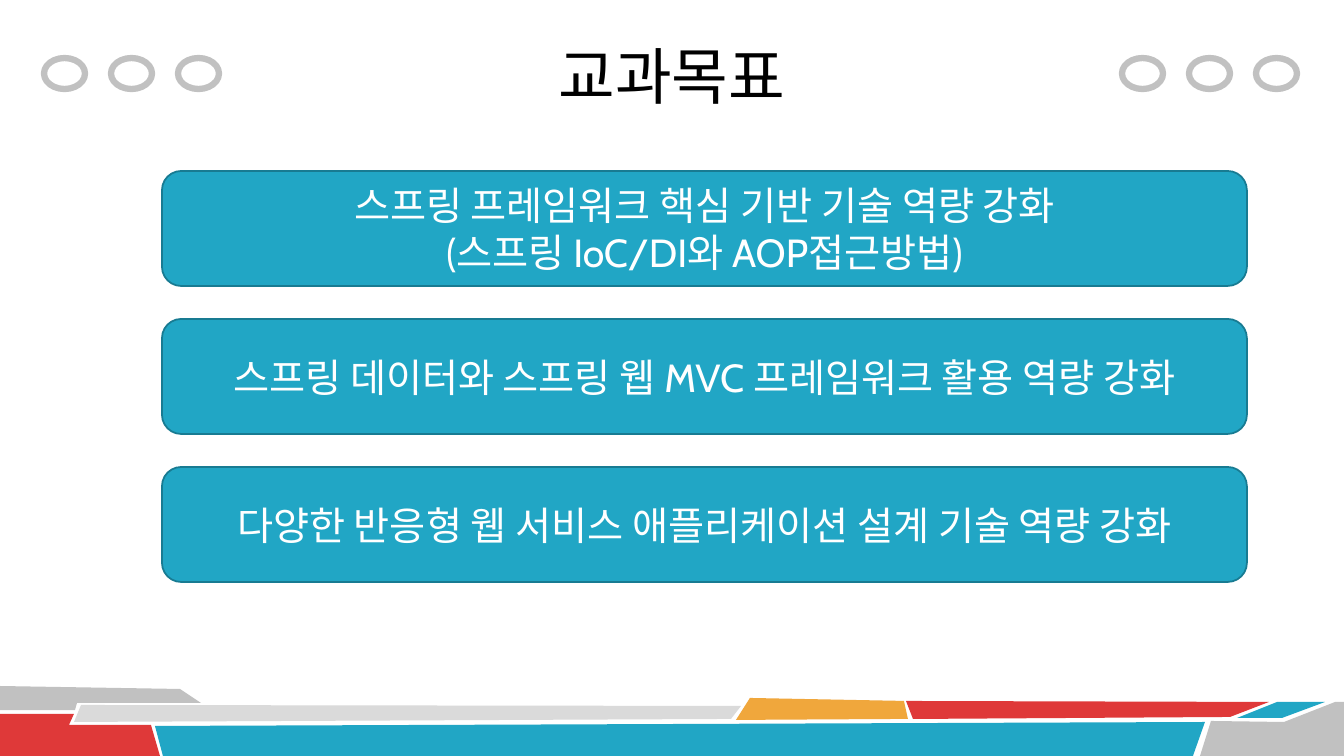
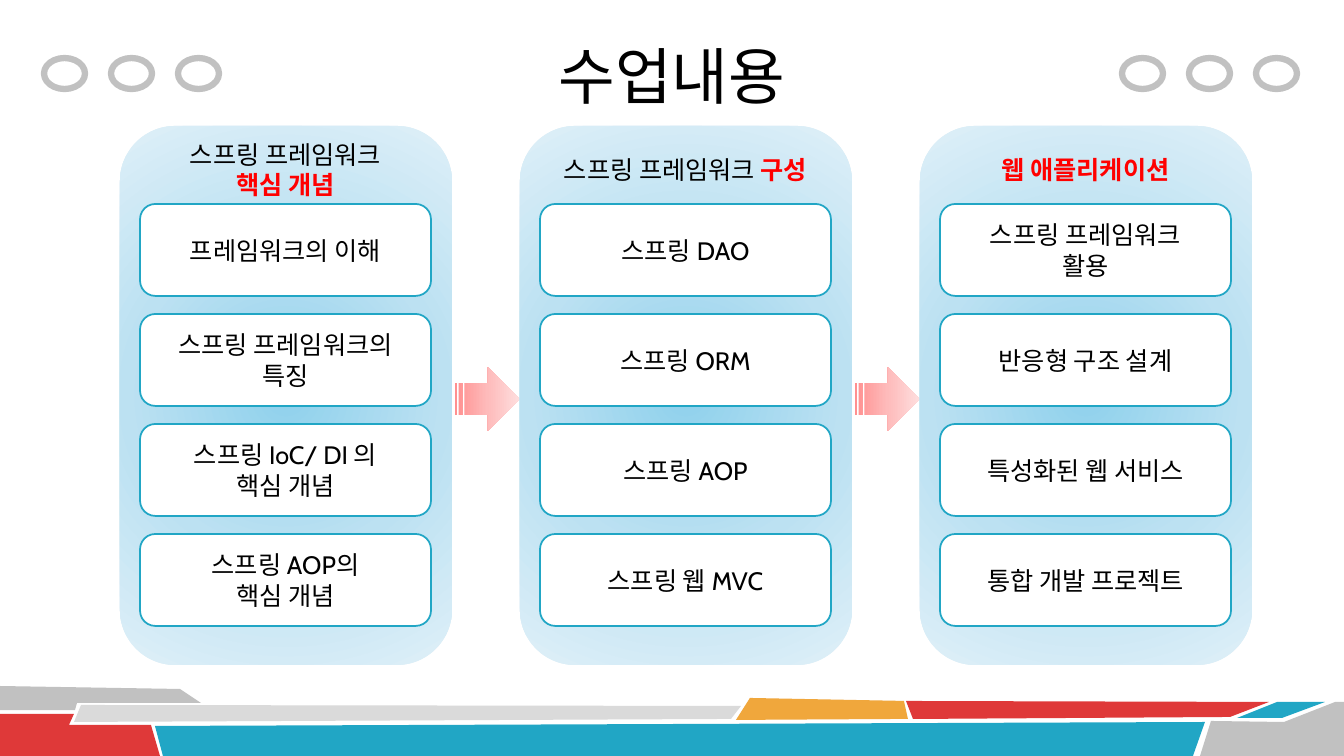
from dataclasses import dataclass

from lxml import etree
from pptx import Presentation
from pptx.dml.color import RGBColor
from pptx.enum.shapes import MSO_SHAPE
from pptx.enum.text import MSO_ANCHOR, PP_ALIGN
from pptx.oxml.ns import qn
from pptx.util import Pt

ROUND_RECT = MSO_SHAPE.ROUNDED_RECTANGLE
ELLIPSE = MSO_SHAPE.OVAL
STRIPED_ARROW = MSO_SHAPE.STRIPED_RIGHT_ARROW
CENTER = PP_ALIGN.CENTER
MIDDLE = MSO_ANCHOR.MIDDLE

EMU_PER_PX = 914400 / 100.8
SLIDE_W, SLIDE_H = 1344, 756
TITLE_ONLY = 5


@dataclass(frozen=True)
class Theme:
    title_font: str = "Calibri"
    body_font: str = "Cabin"
    title_size: int = 44
    bar_size: int = 28
    box_size: int = 18
    outline: float = 1.25
    ring_line: float = 4.5
    black: str = "000000"
    white: str = "FFFFFF"
    accent: str = "FF0000"
    teal: str = "21A6C5"
    teal_dark: str = "187B92"
    red: str = "DF3939"
    orange: str = "F0A73C"
    gray: str = "C1C1C1"
    light_gray: str = "DADADA"
    panel_stops: tuple = ("8FD1EC", "BCE1F2", "DFF0F8")
    arrow_stops: tuple = ("FF8F8F", "FEBBBB", "FEDEDE")


T = Theme()

# Footer band pieces: colour and corner points in px
FOOTER = [
    (T.gray, [(0, 686), (180, 689), (201, 703), (77, 703), (75, 710), (0, 710)]),
    (T.red, [(0, 714), (74, 714), (69, 725), (151, 725), (160, 756), (0, 756)]),
    (T.light_gray, [(81, 705), (741, 706), (731, 719), (74, 722)]),
    (T.teal, [(155, 726), (1205, 722), (1193, 756), (163, 756)]),
    (T.orange, [(750, 698), (904, 701), (908, 719), (736, 720)]),
    (T.red, [(906, 701), (1269, 702), (1230, 717), (913, 719)]),
    (T.teal, [(1277, 702), (1325, 702), (1282, 718), (1237, 718)]),
    (T.gray, [(1211, 721), (1284, 722), (1335, 702), (1344, 702),
              (1344, 756), (1200, 756)]),
]

# Each goal is a list of lines
GOALS = [
    ["스프링 프레임워크 핵심 기반 기술 역량 강화",
     "(스프링 IoC/DI와 AOP접근방법)"],
    ["스프링 데이터와 스프링 웹 MVC 프레임워크 활용 역량 강화"],
    ["다양한 반응형 웹 서비스 애플리케이션 설계 기술 역량 강화"],
]

# Heading lines hold (plain, emphasised) text; topics are lists of lines
COLUMNS = [
    ([("스프링 프레임워크", ""), ("", "핵심 개념")],
     [["프레임워크의 이해"], ["스프링 프레임워크의 특징"],
      ["스프링 IoC/ DI 의", "핵심 개념"], ["스프링 AOP의", "핵심 개념"]]),
    ([("스프링 프레임워크 ", "구성")],
     [["스프링 DAO"], ["스프링 ORM"], ["스프링 AOP"], ["스프링 웹 MVC"]]),
    ([("", "웹 애플리케이션")],
     [["스프링 프레임워크", "활용"], ["반응형 구조 설계"],
      ["특성화된 웹 서비스"], ["통합 개발 프로젝트"]]),
]


def px(n):
    return round(n * EMU_PER_PX)


def rgb(color):
    return RGBColor.from_string(color)


def paint(sp, fill=None, line=None, width=T.outline):
    sp.shadow.inherit = False
    if fill:
        sp.fill.solid()
        sp.fill.fore_color.rgb = rgb(fill)
    else:
        sp.fill.background()
    if line:
        sp.line.color.rgb = rgb(line)
        sp.line.width = Pt(width)
    else:
        sp.line.fill.background()


def add_preset(s, kind, box, **style):
    sp = s.shapes.add_shape(kind, *map(px, box))
    paint(sp, **style)
    return sp


def set_gradient(sp, stops, radial=False):
    """Spread the stop colours evenly, from the centre or from the left."""
    sp.fill.gradient()
    grad = sp.element.spPr.find(qn("a:gradFill"))
    grad.clear()
    stop_list = etree.SubElement(grad, qn("a:gsLst"))
    for i, color in enumerate(stops):
        pos = str(100000 * i // (len(stops) - 1))
        stop = etree.SubElement(stop_list, qn("a:gs"), pos=pos)
        etree.SubElement(stop, qn("a:srgbClr"), val=color)
    if radial:
        shade = etree.SubElement(grad, qn("a:path"), {"path": "circle"})
        etree.SubElement(shade, qn("a:fillToRect"),
                         dict.fromkeys("ltrb", "50000"))
    else:
        etree.SubElement(grad, qn("a:lin"), ang="0", scaled="0")


def write_lines(sp, lines, size, color):
    """Write centred lines of (plain, emphasised) text."""
    tf = sp.text_frame
    tf.word_wrap = True
    tf.vertical_anchor = MIDDLE
    for i, line in enumerate(lines):
        p = tf.add_paragraph() if i else tf.paragraphs[0]
        p.alignment = CENTER
        p.font.name = T.body_font
        p.font.size = Pt(size)
        p.font.color.rgb = rgb(color)
        for text, strong in zip(line, (False, True)):
            if text:
                r = p.add_run()
                r.text = text
                if strong:
                    r.font.bold = True
                    r.font.color.rgb = rgb(T.accent)


def plain(lines):
    return [(line, "") for line in lines]


def add_title_slide(prs, title):
    s = prs.slides.add_slide(prs.slide_layouts[TITLE_ONLY])
    sp = s.shapes.title
    sp.left, sp.top, sp.width, sp.height = map(px, (235, 12, 874, 126))
    tf = sp.text_frame
    tf.text = title
    tf.vertical_anchor = MIDDLE
    p = tf.paragraphs[0]
    p.alignment = CENTER
    p.font.name = T.title_font
    p.font.size = Pt(T.title_size)
    p.font.color.rgb = rgb(T.black)
    return s


def decorate_layout(s):
    """Draw the footer band and rings, then move them to the layout."""
    decor = []
    for color, points in FOOTER:
        builder = s.shapes.build_freeform(*points[0], scale=EMU_PER_PX)
        builder.add_line_segments(points[1:], close=True)
        piece = builder.convert_to_shape()
        paint(piece, fill=color)
        decor.append(piece)
    for start in (44, 1122):
        for i in range(3):
            decor.append(add_preset(s, ELLIPSE, (start + 67 * i, 58, 41, 31),
                                    line=T.gray, width=T.ring_line))
    tree = s.slide_layout.shapes.element
    for sp in decor:
        tree.append(sp.element)


def add_goals(s):
    for i, lines in enumerate(GOALS):
        bar = add_preset(s, ROUND_RECT, (162, 171 + 148 * i, 1085, 115),
                         fill=T.teal, line=T.teal_dark)
        write_lines(bar, plain(lines), T.bar_size, T.white)


def add_column(s, x, heading, topics):
    panel = add_preset(s, ROUND_RECT, (x, 126, 332, 539))
    set_gradient(panel, T.panel_stops, radial=True)
    head = add_preset(s, ROUND_RECT, (x + 20, 140, 291, 59))
    write_lines(head, heading, T.box_size, T.black)
    for i, lines in enumerate(topics):
        box = add_preset(s, ROUND_RECT, (x + 20, 204 + 110 * i, 291, 92),
                         fill=T.white, line=T.teal)
        write_lines(box, plain(lines), T.box_size, T.black)


def add_contents(s):
    for i, (heading, topics) in enumerate(COLUMNS):
        x = 120 + 400 * i
        add_column(s, x, heading, topics)
        if i < len(COLUMNS) - 1:
            arrow = add_preset(s, STRIPED_ARROW, (x + 335, 367, 65, 64))
            set_gradient(arrow, T.arrow_stops)


def main():
    prs = Presentation()
    prs.slide_width, prs.slide_height = px(SLIDE_W), px(SLIDE_H)

    # Course goals
    s = add_title_slide(prs, "교과목표")
    decorate_layout(s)
    add_goals(s)

    # Course contents
    s = add_title_slide(prs, "수업내용")
    add_contents(s)

    prs.save("out.pptx")


if __name__ == "__main__":
    main()
